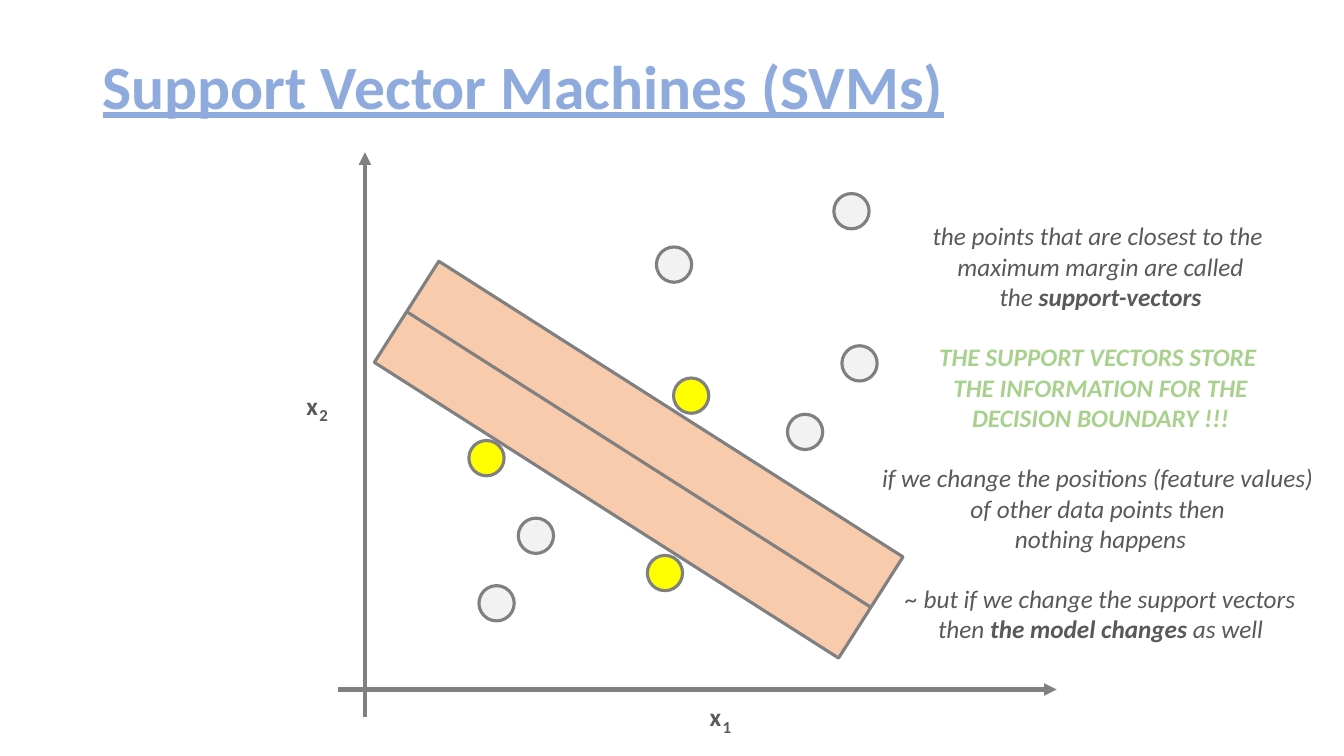
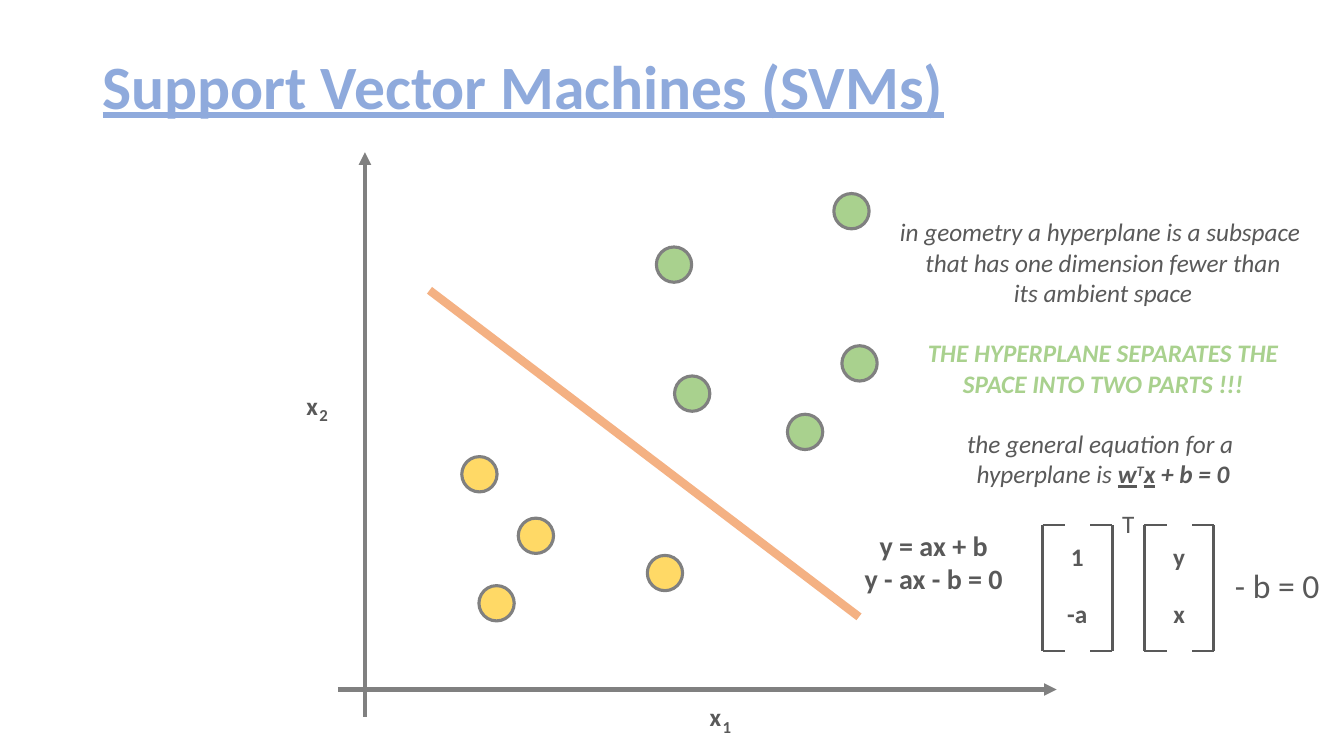
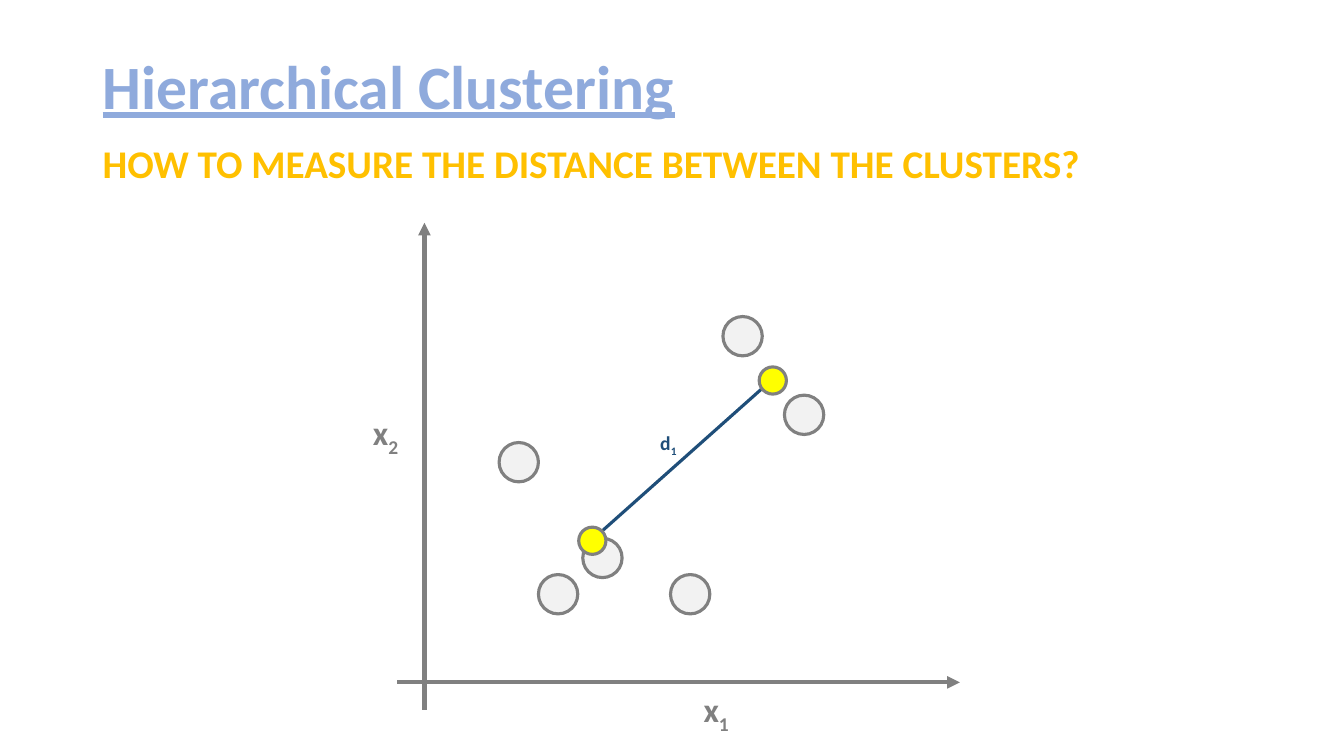
from dataclasses import dataclass, field
from typing import NamedTuple

from lxml.etree import SubElement
from pptx import Presentation
from pptx.dml.color import RGBColor
from pptx.enum.shapes import MSO_CONNECTOR as Conn, MSO_SHAPE as Kind
from pptx.enum.text import MSO_ANCHOR as Anchor, MSO_AUTO_SIZE as Fit, PP_ALIGN as Align
from pptx.oxml.ns import qn
from pptx.util import Inches, Pt

# Shared look
HUE = {
    "title": "8FAADC", "sub": "FFC000", "text": "595959", "axis": "808080",
    "key": "A9D18E", "gold": "FFD966", "pale": "F2F2F2", "vivid": "FFFF00",
    "band": "F8CBAD", "split": "F4B183", "navy": "1F4E79",
}
FACE = "Calibri"
BOLD = {"bold": True}
NOTE = {"size": Pt(18), "italic": True}
LOUD = NOTE | BOLD
LABEL = {"size": Pt(18)} | BOLD
HEAD = {"size": Pt(44), "underline": True} | BOLD
GAP = 21.6  # one line of 18 pt text


class Run(NamedTuple):
    text: str
    form: dict
    hue: str = "text"
    base: int = 0  # raise or lower, in percent


@dataclass
class Para:
    runs: list[Run]
    gap: float = 0
    lead: float | None = None


class Box(NamedTuple):
    left: float
    top: float
    width: float
    height: float


class Dot(NamedTuple):
    left: float
    top: float
    hue: str


@dataclass
class Axes:
    across: float  # place of the upright axis
    down: float    # place of the level axis
    top: float
    right: float
    tail: float = field(default=0.27)


# Drawing tools
def rgb(hue: str) -> RGBColor:
    return RGBColor.from_string(HUE[hue])


def write(slide, box: Box, paras: list[Para], align=Align.LEFT,
          wrap: bool = False, anchor=Anchor.TOP, fit=Fit.SHAPE_TO_FIT_TEXT) -> None:
    frame = slide.shapes.add_textbox(*map(Inches, box)).text_frame
    frame.word_wrap, frame.auto_size, frame.vertical_anchor = wrap, fit, anchor
    for i, para in enumerate(paras):
        line = frame.add_paragraph() if i else frame.paragraphs[0]
        line.alignment = align
        line.space_before = Pt(para.gap)
        if para.lead:
            line.line_spacing = para.lead
        for part in para.runs:
            run = line.add_run()
            run.text = part.text
            run.font.name = FACE
            run.font.color.rgb = rgb(part.hue)
            for key, val in part.form.items():
                setattr(run.font, key, val)
            if part.base:
                run.font._element.set("baseline", str(part.base * 1000))


def label(slide, box: Box, *runs: Run, **opts) -> None:
    write(slide, box, [Para(list(runs))], **opts)


def link(slide, x1: float, y1: float, x2: float, y2: float,
         hue: str = "axis", width: float = 2.25, arrow: bool = False) -> None:
    line = slide.shapes.add_connector(Conn.STRAIGHT, *map(Inches, (x1, y1, x2, y2)))
    line.line.color.rgb = rgb(hue)
    line.line.width = Pt(width)
    if arrow:
        SubElement(line.line._get_or_add_ln(), qn("a:tailEnd"), type="triangle")
    SubElement(line._element.spPr, qn("a:effectLst"))


def solid(slide, kind, box: Box, hue: str, turn: float = 0) -> None:
    shape = slide.shapes.add_shape(kind, *map(Inches, box))
    shape.shadow.inherit = False
    shape.fill.solid()
    shape.fill.fore_color.rgb = rgb(hue)
    shape.line.color.rgb = rgb("axis")
    shape.line.width = Pt(2.25)
    shape.rotation = turn


def dots(slide, size: float, items: list[Dot]) -> None:
    for dot in items:
        solid(slide, Kind.OVAL, Box(dot.left, dot.top, size, size), dot.hue)


def axes(slide, ax: Axes) -> None:
    link(slide, ax.across, ax.down + ax.tail, ax.across, ax.top, width=3, arrow=True)
    link(slide, ax.across - ax.tail, ax.down, ax.right, ax.down, width=3, arrow=True)


def start(deck, name: str):
    slide = deck.slides.add_slide(deck.slide_layouts[6])
    write(slide, Box(0.92, 0.16, 11.5, 1.45), [Para([Run(name, HEAD, "title")], lead=0.9)],
          wrap=True, anchor=Anchor.MIDDLE, fit=Fit.NONE)
    return slide


def plane(deck):
    """Start a slide with the axes and labels that both SVM slides use."""
    slide = start(deck, "Support Vector Machines (SVMs)")
    axes(slide, Axes(3.62, 6.84, 1.51, 10.48))
    for left, top, sub in ((6.94, 6.91, "1"), (2.94, 3.82, "2")):
        label(slide, Box(left, top, 0.4, 0.4), Run("x", LABEL), wrap=True)
        label(slide, Box(left + 0.13, top + 0.15, 0.3, 0.3),
              Run(sub, {"size": Pt(12)} | BOLD), wrap=True)
    return slide


def plain(*lines: str, form: dict = NOTE, hue: str = "text", gap: float = 0) -> list[Para]:
    return [Para([Run(line, form, hue)], 0 if i else gap) for i, line in enumerate(lines)]


def matrix(slide, left: float, cells: tuple[str, str]) -> None:
    top, foot, width, lip = 5.21, 6.46, 0.69, 0.22
    for edge, inner in ((left, left + lip), (left + width, left + width - lip)):
        link(slide, edge, top, edge, foot, "text")
        for y in (top, foot):
            link(slide, edge, y, inner, y, "text", 1.5)
    for i, cell in enumerate(cells):
        label(slide, Box(left + 0.14, 5.32 + i * 0.57, 0.41, 0.4),
              Run(cell, LABEL), align=Align.CENTER)


# Slides
def vectors(deck) -> None:
    slide = plane(deck)
    dots(slide, 0.35, [
        Dot(4.65, 4.37, "vivid"), Dot(4.75, 5.81, "pale"), Dot(5.14, 5.14, "pale"),
        Dot(6.42, 5.51, "vivid"), Dot(6.51, 2.45, "pale"), Dot(6.68, 3.75, "vivid"),
        Dot(7.81, 4.11, "pale"), Dot(8.35, 3.43, "pale"), Dot(8.27, 1.92, "pale"),
    ])
    # Margin band and boundary
    solid(slide, Kind.RECTANGLE, Box(5.74, 1.83, 1.19, 5.46), "band", 302.5)
    link(slide, 4.03, 3.09, 8.63, 6.02)
    write(slide, Box(8.62, 2.14, 4.59, 4.34), [
        *plain("the points that are closest to the ", "maximum margin are called"),
        Para([Run("the ", NOTE), Run("support-vectors", LOUD)]),
        *plain("THE SUPPORT VECTORS STORE ", "THE INFORMATION FOR THE",
               "DECISION BOUNDARY !!!", form=LOUD, hue="key", gap=GAP),
        *plain("if we change the positions (feature values) ",
               "of other data points then ", "nothing happens", gap=GAP),
        *plain("~ but if we change the support vectors", gap=GAP),
        Para([Run("then ", NOTE), Run("the model changes", LOUD), Run(" as well", NOTE)]),
    ], Align.CENTER)


def hyper(deck) -> None:
    slide = plane(deck)
    dots(slide, 0.35, [
        Dot(4.58, 4.53, "gold"), Dot(4.75, 5.81, "gold"), Dot(5.14, 5.14, "gold"),
        Dot(6.42, 5.51, "gold"), Dot(6.51, 2.45, "key"), Dot(6.69, 3.73, "key"),
        Dot(7.81, 4.11, "key"), Dot(8.35, 3.43, "key"), Dot(8.27, 1.92, "key"),
    ])
    link(slide, 4.26, 2.88, 8.52, 6.12, "split", 6)
    under = LOUD | {"underline": True}
    write(slide, Box(8.8, 2.1, 4.28, 2.83), [
        *plain("in geometry a hyperplane is a subspace ",
               "that has one dimension fewer than", "its ambient space"),
        *plain("THE HYPERPLANE SEPARATES THE", "SPACE INTO TWO PARTS !!!",
               form=LOUD, hue="key", gap=GAP),
        *plain("the general equation for a ", gap=GAP),
        Para([Run("hyperplane is ", NOTE), Run("w", under), Run("T", LOUD, base=30),
              Run("x", under), Run(" + b = 0", LOUD)]),
    ], Align.CENTER)
    # Equation in matrix form
    write(slide, Box(8.47, 5.19, 1.58, 0.77),
          plain("y = ax + b", "y - ax - b = 0", form={"size": Pt(20)} | BOLD), Align.CENTER)
    matrix(slide, 10.34, ("1", "-a"))
    label(slide, Box(11.03, 4.99, 0.32, 0.4), Run("T", {"size": Pt(18)}))
    matrix(slide, 11.35, ("y", "x"))
    label(slide, Box(12.15, 5.56, 1.05, 0.5), Run("- b = 0", {"size": Pt(24)}))


def cluster(deck) -> None:
    slide = start(deck, "Hierarchical Clustering")
    write(slide, Box(0.92, 1.39, 11.5, 0.6),
          [Para([Run("HOW TO MEASURE THE DISTANCE BETWEEN THE CLUSTERS?",
                     {"size": Pt(28)} | BOLD, "sub")], lead=0.9)], wrap=True)
    axes(slide, Axes(4.21, 6.77, 2.21, 9.52))
    dots(slide, 0.39, [Dot(x, y, "pale") for x, y in (
        (5.34, 5.7), (5.78, 5.34), (4.95, 4.39), (6.65, 5.7), (7.17, 3.14), (7.78, 3.92))])
    # Distance between the two centres
    link(slide, 5.97, 5.27, 7.62, 3.8, "navy")
    dots(slide, 0.27, [Dot(5.74, 5.23, "vivid"), Dot(7.53, 3.64, "vivid")])
    for box, name, sub, size, hue in (
        (Box(3.6, 4.04, 0.47, 0.5), "x", "2", 24, "axis"),
        (Box(6.88, 6.79, 0.47, 0.5), "x", "1", 24, "axis"),
        (Box(6.45, 4.23, 0.37, 0.34), "d", "1", 14, "navy"),
    ):
        form = {"size": Pt(size)} | BOLD
        label(slide, box, Run(name, form, hue), Run(sub, form, hue, -25))


def main() -> None:
    deck = Presentation()
    deck.slide_width, deck.slide_height = Inches(13.33), Inches(7.5)
    for build in (vectors, hyper, cluster):
        build(deck)
    deck.save("out.pptx")


if __name__ == "__main__":
    main()
